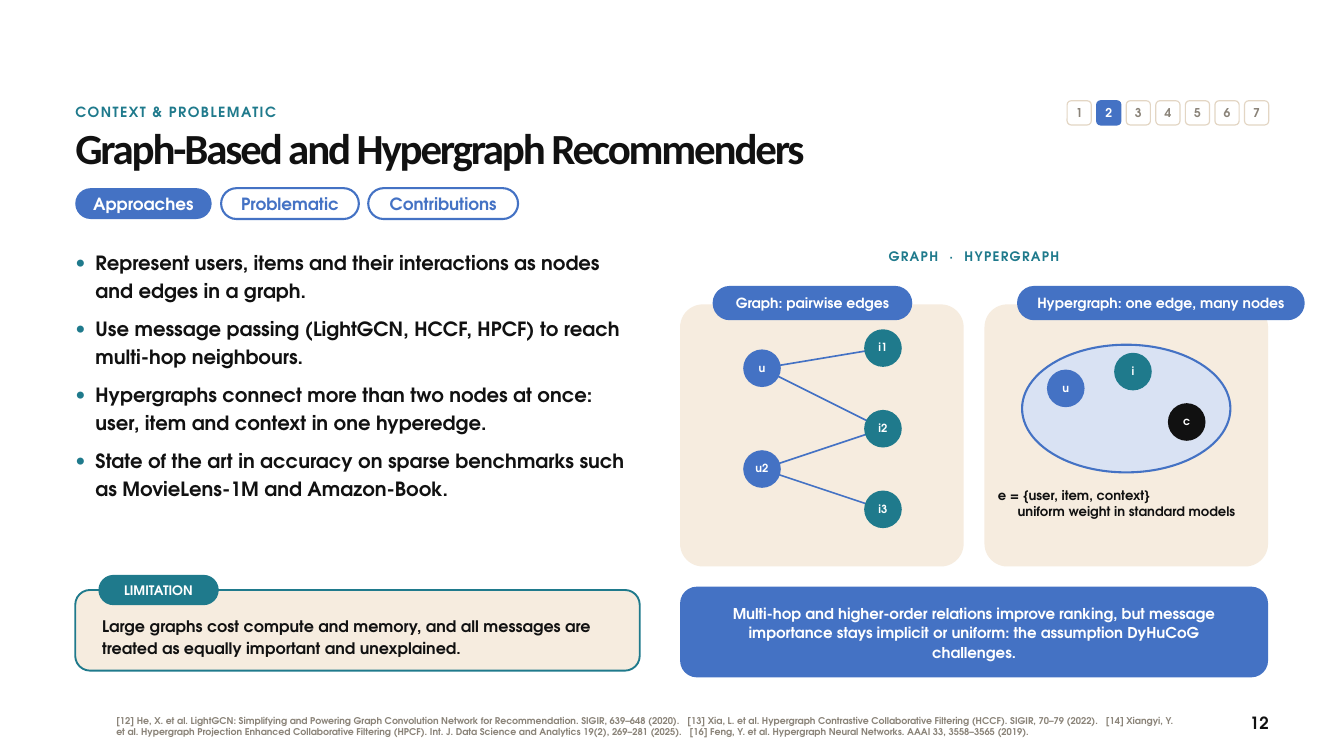
"""Build the slide comparing graph-based and hypergraph recommenders."""
from lxml.etree import SubElement
from pptx import Presentation
from pptx.dml.color import RGBColor
from pptx.enum.shapes import MSO_CONNECTOR, MSO_SHAPE as SHAPE
from pptx.enum.text import MSO_ANCHOR as ANCHOR, MSO_AUTO_SIZE, PP_ALIGN as ALIGN
from pptx.oxml.ns import qn
from pptx.util import Inches, Pt

FONT = "TeX Gyre Adventor"
BLUE, TEAL, INK, WHITE = "4472C4", "1F7A8C", "111111", "FFFFFF"
CREAM, SAND, GREY, PALE = "F6ECDF", "E3D6C4", "8A8378", "D9E2F3"
rgb = RGBColor.from_string

prs = Presentation()
prs.slide_width, prs.slide_height = Inches(20), Inches(11.25)
slide = prs.slides.add_slide(prs.slide_layouts[1])
shapes = slide.shapes


def add_box(at, fill=None, line=None, weight=2.25, radius=0.5, kind=SHAPE.ROUNDED_RECTANGLE):
    box = shapes.add_shape(kind, *map(Inches, at))
    box.shadow.inherit = False
    if kind == SHAPE.ROUNDED_RECTANGLE:
        box.adjustments[0] = radius
    if fill:
        box.fill.solid()
        box.fill.fore_color.rgb = rgb(fill)
    else:
        box.fill.background()
    if line:
        box.line.color.rgb = rgb(line)
        box.line.width = Pt(weight)
    else:
        box.line.fill.background()
    return box


def write(box, text, size, leading, color, align=ALIGN.CENTER, anchor=ANCHOR.MIDDLE,
          pad=(0, 0), tracking=0, font=FONT, gap=0):
    frame = box.text_frame
    frame.text = text
    frame.word_wrap = True
    frame.auto_size = MSO_AUTO_SIZE.NONE
    frame.vertical_anchor = anchor
    frame.margin_left = frame.margin_right = Inches(pad[0])
    frame.margin_top = frame.margin_bottom = Inches(pad[1])
    for index, paragraph in enumerate(frame.paragraphs):
        paragraph.alignment = align
        paragraph.line_spacing = Pt(leading)
        paragraph.space_before = Pt(gap if index else 0)
        for run in paragraph.runs:
            run.font.name, run.font.size, run.font.bold = font, Pt(size), True
            run.font.color.rgb = rgb(color)
            if tracking:
                run.font._element.set("spc", str(round(tracking * 100)))
    return frame


title, body = shapes.title, slide.placeholders[1]
title.left, title.top, title.width, title.height = map(Inches, (1.12, 1.88, 17.75, 0.8))
write(title, "Graph-Based and Hypergraph Recommenders", 46, 50.6, INK, ALIGN.LEFT,
      ANCHOR.TOP, tracking=-2.3, font="Calibri")

body.left, body.top, body.width, body.height = map(Inches, (1.12, 3.68, 8.4, 4.8))
points = [
    "Represent users, items and their interactions as nodes and edges in a graph.",
    "Use message passing (LightGCN, HCCF, HPCF) to reach multi-hop neighbours.",
    "Hypergraphs connect more than two nodes at once: user, item and context in one hyperedge.",
    "State of the art in accuracy on sparse benchmarks such as MovieLens-1M and Amazon-Book.",
]
point_frame = write(body, "\n".join(points), 21, 29.4, INK, ALIGN.LEFT, ANCHOR.TOP, gap=12)
for point in point_frame.paragraphs:
    properties = point._p.get_or_add_pPr()
    properties.set("marL", str(Inches(0.3)))
    properties.set("indent", str(Inches(-0.3)))
    bullet_color = SubElement(properties, qn("a:buClr"))
    SubElement(bullet_color, qn("a:srgbClr"), val=TEAL)
    SubElement(properties, qn("a:buFont"), typeface=FONT)
    SubElement(properties, qn("a:buChar"), char="•")

references = (
    "[12] He, X. et al. LightGCN: Simplifying and Powering Graph Convolution Network for "
    "Recommendation. SIGIR, 639–648 (2020).   [13] Xia, L. et al. Hypergraph Contrastive "
    "Collaborative Filtering (HCCF). SIGIR, 70–79 (2022).   [14] Xiangyi, Y. et al. Hypergraph "
    "Projection Enhanced Collaborative Filtering (HPCF). Int. J. Data Science and Analytics "
    "19(2), 269–281 (2025).   [16] Feng, Y. et al. Hypergraph Neural Networks. AAAI 33, "
    "3558–3565 (2019)."
)
for at, text, size, leading, color, align, anchor, tracking in [
    ((1.73, 10.5, 15.85, 0.62), references, 10, 12, GREY, ALIGN.LEFT, ANCHOR.MIDDLE, 0),
    ((17.68, 10.6, 1.2, 0.36), "12", 18, 22, INK, ALIGN.RIGHT, ANCHOR.TOP, 0),
    ((1.12, 1.52, 14.15, 0.36), "CONTEXT & PROBLEMATIC", 15, 20, TEAL, ALIGN.LEFT, ANCHOR.TOP, 1.6),
    ((10.12, 3.68, 8.75, 0.4), "GRAPH  ·  HYPERGRAPH", 14, 18, TEAL, ALIGN.CENTER, ANCHOR.TOP, 1.4),
]:
    label = shapes.add_textbox(*map(Inches, at))
    write(label, text, size, leading, color, align, anchor, tracking=tracking)

current_section = 2
for number in range(1, 8):
    active = number == current_section
    step = add_box((15.88 + 0.44 * (number - 1), 1.5, 0.36, 0.36), BLUE if active else WHITE,
                   BLUE if active else SAND, 1.25, 0.167)
    write(step, str(number), 13, 15, WHITE if active else GREY)

for name, left, width, active in [
    ("Approaches", 1.12, 2.03, True),
    ("Problematic", 3.29, 2.05, False),
    ("Contributions", 5.48, 2.23, False),
]:
    tab = add_box((left, 2.8, width, 0.46), BLUE if active else None, None if active else BLUE)
    write(tab, name, 18, 21.6, WHITE if active else BLUE, pad=(0.05, 0))

add_box((1.12, 8.78, 8.4, 1.2), CREAM, TEAL, 2, 0.183)
limitation_tag = add_box((1.48, 8.57, 1.76, 0.42), TEAL, TEAL)
write(limitation_tag, "LIMITATION", 14, 16.8, WHITE, pad=(0.05, 0))
limitation = shapes.add_textbox(*map(Inches, (1.52, 9.08, 7.6, 0.75)))
write(limitation, "Large graphs cost compute and memory, and all messages are treated as "
      "equally important and unexplained.", 17, 23.8, INK, ALIGN.LEFT)

for heading, left, heading_width in [
    ("Graph: pairwise edges", 10.12, 2.94),
    ("Hypergraph: one edge, many nodes", 14.65, 4.25),
]:
    add_box((left, 4.53, 4.22, 3.9), CREAM, radius=0.087)
    panel_tag = add_box((left + 0.5, 4.27, heading_width, 0.48), BLUE, BLUE)
    write(panel_tag, heading, 15, 18, WHITE, pad=(0.05, 0))

graph_nodes = {
    "u": (11.34, 5.48, BLUE),
    "u2": (11.34, 6.98, BLUE),
    "i1": (13.14, 5.18, TEAL),
    "i2": (13.14, 6.38, TEAL),
    "i3": (13.14, 7.58, TEAL),
}
hyperedge_nodes = {"u": (15.86, 5.78, BLUE), "i": (16.86, 5.53, TEAL), "c": (17.66, 6.28, INK)}

for user, item in [("u", "i1"), ("u", "i2"), ("u2", "i2"), ("u2", "i3")]:
    ends = graph_nodes[user][:2] + graph_nodes[item][:2]
    edge = shapes.add_connector(MSO_CONNECTOR.STRAIGHT, *map(Inches, ends))
    edge.line.color.rgb = rgb(BLUE)
    edge.line.width = Pt(1.75)
    SubElement(edge._element.spPr, qn("a:effectLst"))

add_box((15.21, 5.13, 3.1, 1.9), PALE, BLUE, kind=SHAPE.OVAL)

diameter = 0.56
for name, (x, y, color) in [*graph_nodes.items(), *hyperedge_nodes.items()]:
    node = add_box((x - diameter / 2, y - diameter / 2, diameter, diameter), color, kind=SHAPE.OVAL)
    write(node, name, 12, 13.2, WHITE)

hyperedge_note = shapes.add_textbox(*map(Inches, (14.85, 7.23, 3.83, 1)))
note_frame = write(hyperedge_note, "e = {user, item, context}\nuniform weight in standard models",
                   14, 18, INK, anchor=ANCHOR.TOP)
note_frame.paragraphs[0].alignment = ALIGN.LEFT

takeaway = add_box((10.12, 8.73, 8.75, 1.35), BLUE, radius=0.185)
write(takeaway, "Multi-hop and higher-order relations improve ranking, but message importance "
      "stays implicit or uniform: the assumption DyHuCoG challenges.", 16, 21, WHITE,
      pad=(0.35, 0.1))

prs.save("out.pptx")
